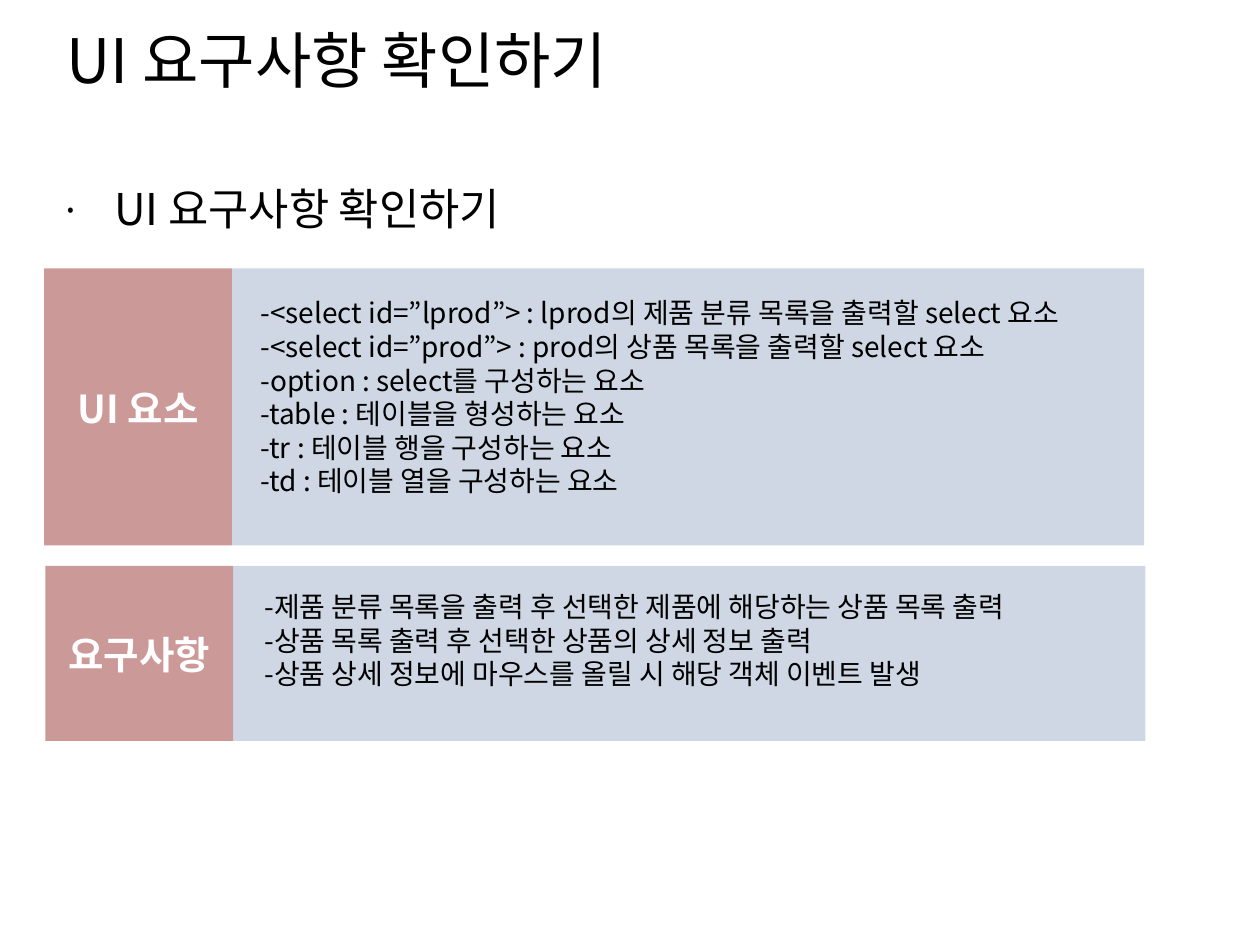
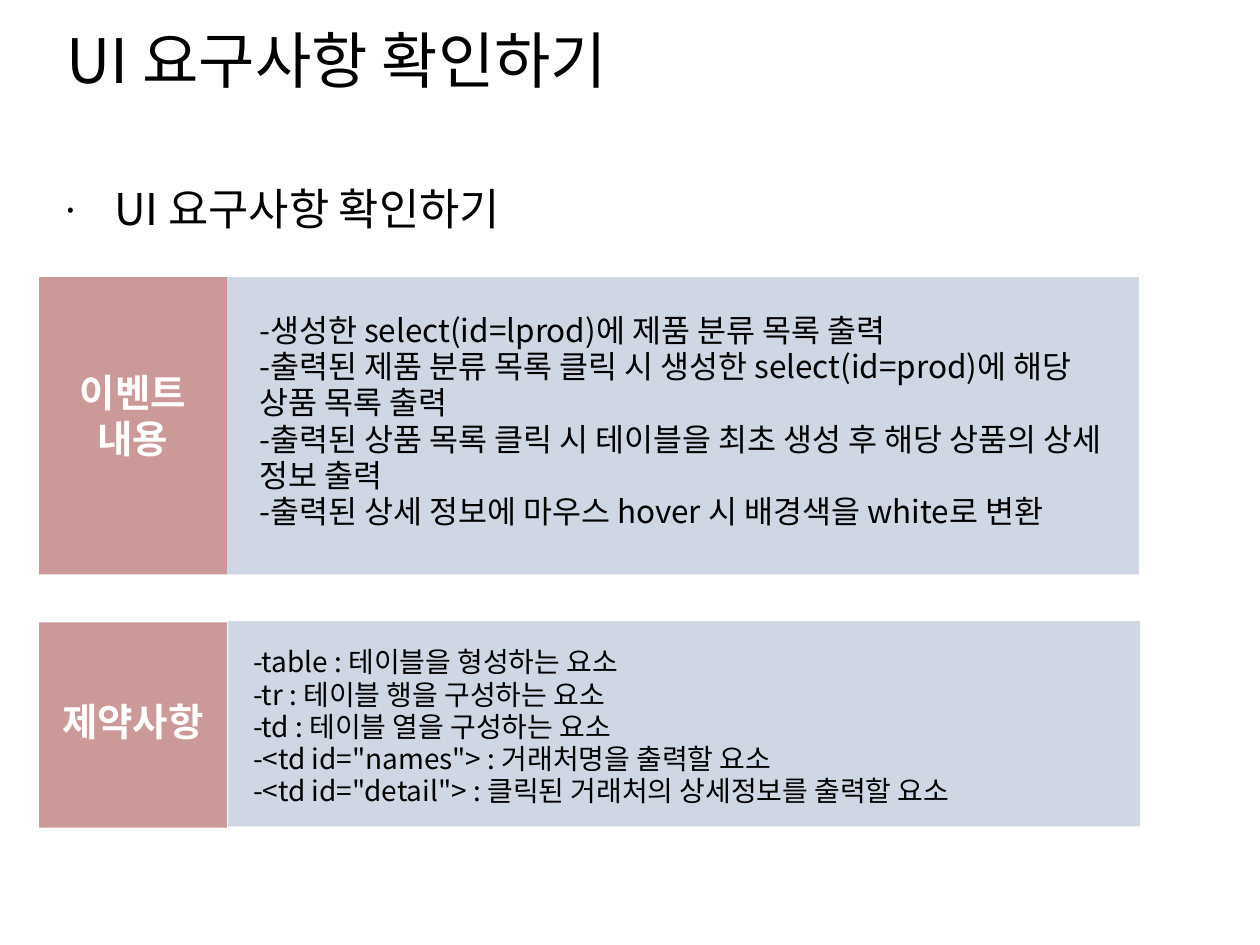
from dataclasses import dataclass

from lxml import etree
from pptx import Presentation
from pptx.dml.color import RGBColor
from pptx.enum.shapes import MSO_SHAPE
from pptx.enum.text import MSO_ANCHOR, MSO_AUTO_SIZE, PP_ALIGN
from pptx.oxml.ns import qn
from pptx.util import Emu, Pt

RECTANGLE = MSO_SHAPE.RECTANGLE
TOP = MSO_ANCHOR.TOP
FIXED, GROW = MSO_AUTO_SIZE.NONE, MSO_AUTO_SIZE.SHAPE_TO_FIT_TEXT
LEFT, CENTER = PP_ALIGN.LEFT, PP_ALIGN.CENTER

EMU_PER_PX = 9144
BLANK_LAYOUT = 6
HEADING = "UI 요구사항 확인하기"


@dataclass(frozen=True)
class Theme:
    font: str = "Noto Sans CJK KR"
    ink: str = "000000"
    label_ink: str = "FFFFFF"
    label_fill: str = "CC9999"
    band_fill: str = "9FB0C9"
    band_alpha: int = 50
    title_size: int = 35
    topic_size: int = 25
    label_size: int = 22
    line_height: float = 1.2


@dataclass(frozen=True)
class Frame:
    left: int
    top: int
    width: int
    height: int


@dataclass(frozen=True)
class TextStyle:
    size: int
    color: str
    bold: bool = False
    align: PP_ALIGN = LEFT
    spacing: float = 1.0
    fit: MSO_AUTO_SIZE = GROW


@dataclass(frozen=True)
class Panel:
    left: int
    top: int
    height: int
    label_top: int
    label: list[str]
    note_frame: Frame
    notes: list[str]
    note_size: int = 16
    note_spacing: float = 1.0
    band_shift: tuple[int, int] = (0, 0)


THEME = Theme()
TITLE_FRAME = Frame(43, 13, 838, 87)
TOPIC_FRAME = Frame(43, 139, 919, 534)
LABEL_WIDTH, BAND_WIDTH = 149, 724
LABEL_LINE, LABEL_PADDING = 37, 10

TITLE_STYLE = TextStyle(THEME.title_size, THEME.ink, fit=FIXED)
TOPIC_STYLE = TextStyle(THEME.topic_size, THEME.ink, fit=FIXED)
LABEL_STYLE = TextStyle(THEME.label_size, THEME.label_ink, True, CENTER)

TABLE_NOTES = [
    "-table : 테이블을 형성하는 요소",
    "-tr : 테이블 행을 구성하는 요소",
    "-td : 테이블 열을 구성하는 요소",
]

PAGES = [
    [
        Panel(35, 213, 220, 301, ["UI 요소"], Frame(197, 230, 693, 170), [
            "-<select id=”lprod”> : lprod의 제품 분류 목록을 출력할 select 요소",
            "-<select id=”prod”> : prod의 상품 목록을 출력할 select 요소",
            "-option : select를 구성하는 요소",
            *TABLE_NOTES,
        ]),
        Panel(36, 449, 139, 496, ["요구사항"], Frame(200, 463, 669, 90), [
            "-제품 분류 목록을 출력 후 선택한 제품에 해당하는 상품 목록 출력",
            "-상품 목록 출력 후 선택한 상품의 상세 정보 출력",
            "-상품 상세 정보에 마우스를 올릴 시 해당 객체 이벤트 발생",
        ]),
    ],
    [
        Panel(31, 220, 236, 288, ["이벤트", "내용"], Frame(196, 243, 693, 183), [
            "-생성한 select(id=lprod)에 제품 분류 목록 출력",
            "-출력된 제품 분류 목록 클릭 시 생성한 select(id=prod)에 해당 상품 목록 출력",
            "-출력된 상품 목록 클릭 시 테이블을 최초 생성 후 해당 상품의 상세 정보 출력",
            "-출력된 상세 정보에 마우스 hover 시 배경색을 white로 변환",
        ], note_size=18, note_spacing=0.96),
        Panel(31, 494, 163, 549, ["제약사항"], Frame(191, 508, 669, 138), [
            *TABLE_NOTES,
            '-<td id="names"> : 거래처명을 출력할 요소',
            '-<td id="detail"> : 클릭된 거래처의 상세정보를 출력할 요소',
        ], note_spacing=0.96, band_shift=(1, -1)),
    ],
]


def px(value: float) -> Emu:
    return Emu(round(value * EMU_PER_PX))


def place(frame: Frame) -> tuple[Emu, Emu, Emu, Emu]:
    return px(frame.left), px(frame.top), px(frame.width), px(frame.height)


def apply(target, values: dict) -> None:
    for name, value in values.items():
        setattr(target, name, value)


def add_text(page, frame: Frame, lines: list[str], style: TextStyle):
    box = page.shapes.add_textbox(*place(frame))
    apply(box.text_frame, {
        "word_wrap": True,
        "auto_size": style.fit,
        "vertical_anchor": TOP,
        "margin_left": px(10),
        "margin_right": px(10),
        "margin_top": px(5),
        "margin_bottom": px(5),
    })
    for index, line in enumerate(lines):
        para = box.text_frame.add_paragraph() if index else box.text_frame.paragraphs[0]
        apply(para, {
            "alignment": style.align,
            "line_spacing": Pt(style.size * THEME.line_height * style.spacing),
        })
        span = para.add_run()
        span.text = line
        apply(span.font, {"name": THEME.font, "size": Pt(style.size), "bold": style.bold})
        span.font.color.rgb = RGBColor.from_string(style.color)
        east_asian = etree.SubElement(span.font._element, qn("a:ea"))
        east_asian.set("typeface", THEME.font)
    return box


def add_bullet(para) -> None:
    properties = para._p.get_or_add_pPr()
    properties.set("marL", str(px(38)))
    properties.set("indent", str(px(-37)))
    color = etree.SubElement(properties, qn("a:buClr"))
    etree.SubElement(color, qn("a:srgbClr")).set("val", THEME.ink)
    etree.SubElement(properties, qn("a:buSzPct")).set("val", "45000")
    etree.SubElement(properties, qn("a:buFont")).set("typeface", THEME.font)
    etree.SubElement(properties, qn("a:buChar")).set("char", "•")


def add_block(page, frame: Frame, color: str, alpha: int = 100) -> None:
    block = page.shapes.add_shape(RECTANGLE, *place(frame))
    block.shadow.inherit = False
    block.line.fill.background()
    block.fill.solid()
    block.fill.fore_color.rgb = RGBColor.from_string(color)
    if alpha < 100:
        tint = block._element.spPr.find(qn("a:solidFill")).find(qn("a:srgbClr"))
        etree.SubElement(tint, qn("a:alpha")).set("val", str(alpha * 1000))


def add_panel(page, panel: Panel) -> None:
    shift_x, shift_y = panel.band_shift
    band = Frame(panel.left + LABEL_WIDTH + shift_x, panel.top + shift_y, BAND_WIDTH, panel.height)
    add_block(page, band, THEME.band_fill, THEME.band_alpha)
    add_block(page, Frame(panel.left, panel.top, LABEL_WIDTH, panel.height), THEME.label_fill)
    label_height = LABEL_PADDING + LABEL_LINE * len(panel.label)
    label_frame = Frame(panel.left, panel.label_top, LABEL_WIDTH, label_height)
    add_text(page, label_frame, panel.label, LABEL_STYLE)
    note_style = TextStyle(panel.note_size, THEME.ink, spacing=panel.note_spacing)
    add_text(page, panel.note_frame, panel.notes, note_style)


def add_page(deck, panels: list[Panel]) -> None:
    page = deck.slides.add_slide(deck.slide_layouts[BLANK_LAYOUT])
    add_text(page, TITLE_FRAME, [HEADING], TITLE_STYLE)
    topic = add_text(page, TOPIC_FRAME, [HEADING], TOPIC_STYLE)
    add_bullet(topic.text_frame.paragraphs[0])
    for panel in panels:
        add_panel(page, panel)


def main() -> None:
    deck = Presentation()
    apply(deck, {"slide_width": px(1000), "slide_height": px(750)})
    for panels in PAGES:
        add_page(deck, panels)
    deck.save("out.pptx")


if __name__ == "__main__":
    main()
